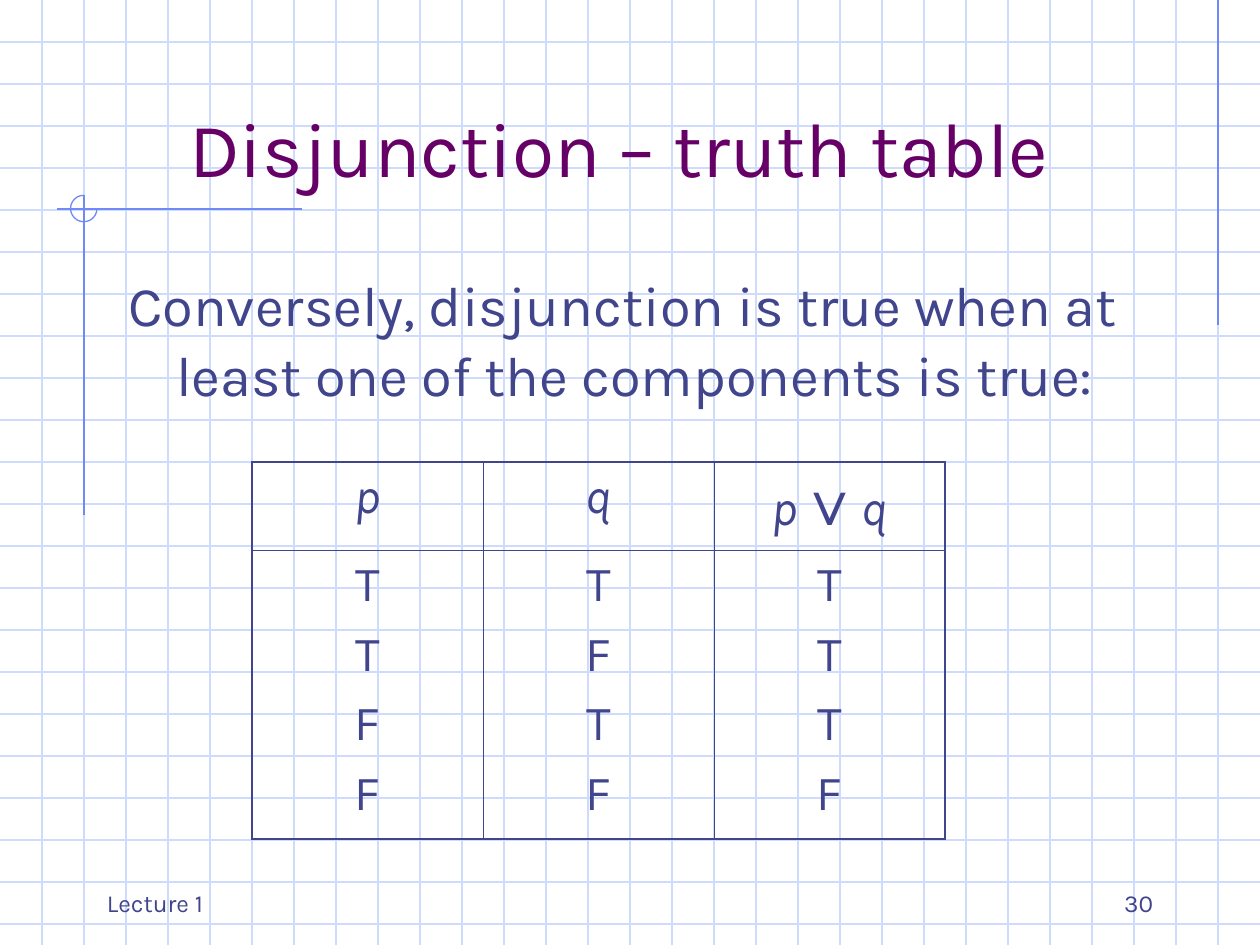
from lxml import etree
from pptx import Presentation
from pptx.dml.color import RGBColor
from pptx.enum.shapes import MSO_CONNECTOR, MSO_SHAPE
from pptx.enum.text import MSO_ANCHOR, PP_ALIGN
from pptx.oxml.ns import qn
from pptx.util import Inches, Pt

STRAIGHT = MSO_CONNECTOR.STRAIGHT
ARC = MSO_SHAPE.ARC
TOP, BOTTOM = MSO_ANCHOR.TOP, MSO_ANCHOR.BOTTOM
LEFT, CENTER, RIGHT = PP_ALIGN.LEFT, PP_ALIGN.CENTER, PP_ALIGN.RIGHT

WIDTH, HEIGHT = 10, 7.5
UNIT = 1 / 3
GRID, ACCENT, TITLE, INK = "CFDBFD", "6F89F7", "660066", "40458C"
FONT, SYMBOL_FONT = "Karla", "Arial"
OUTER, INNER = 1.08, 0.45

HEADERS = [
    [("p", FONT, 28, True)],
    [("q", FONT, 28, True)],
    [("p", FONT, 28, True), ("∨", SYMBOL_FONT, 36, False), ("q", FONT, 28, True)],
]
TRUTH_VALUES = ["TTFF", "TFTF", "TTTF"]


def color(hex_code):
    """Turn a hex string into a colour."""
    return RGBColor.from_string(hex_code)


def add_rule(slide, start, end, hex_code):
    """Draw a thin straight line between two points in inches."""
    rule = slide.shapes.add_connector(STRAIGHT, *map(Inches, start + end))
    rule.line.color.rgb = color(hex_code)
    rule.line.width = Pt(0.75)
    etree.SubElement(rule._element.spPr, qn("a:effectLst"))


def add_run(paragraph, text, font_name, size, hex_code, italic=False):
    """Append one formatted run to a paragraph."""
    run = paragraph.add_run()
    run.text = text
    run.font.name = font_name
    run.font.size = Pt(size)
    run.font.italic = italic
    run.font.color.rgb = color(hex_code)


def add_label(slide, place, text, size, hex_code, align=LEFT, anchor=BOTTOM):
    """Add a wrapped one-paragraph text box and return its paragraph."""
    frame = slide.shapes.add_textbox(*map(Inches, place)).text_frame
    frame.word_wrap = True
    frame.vertical_anchor = anchor
    paragraph = frame.paragraphs[0]
    paragraph.alignment = align
    add_run(paragraph, text, FONT, size, hex_code)
    return paragraph


def draw_graph_paper(slide):
    """Cover the slide with evenly spaced grid lines."""
    for row in range(1, 23):
        add_rule(slide, (0, row * UNIT), (WIDTH, row * UNIT), GRID)
    for column in range(1, 30):
        add_rule(slide, (column * UNIT, 0), (column * UNIT, HEIGHT), GRID)


def draw_accents(slide):
    """Draw the darker margin lines and the open circle at their crossing."""
    add_rule(slide, (29 * UNIT, 0), (29 * UNIT, 2.58), ACCENT)
    add_rule(slide, (2.4, 1.66), (0.45, 1.66), ACCENT)
    add_rule(slide, (2 * UNIT, 1.55), (2 * UNIT, 4.09), ACCENT)
    circle = slide.shapes.add_shape(ARC, *map(Inches, (0.56, 1.55, 0.21, 0.21)))
    circle.adjustments[0] = 0
    circle.adjustments[1] = 162
    circle.shadow.inherit = False
    circle.fill.background()
    circle.line.color.rgb = color(ACCENT)
    circle.line.width = Pt(0.75)


def set_borders(cell, widths):
    """Give a cell its left, right, top and bottom border widths."""
    properties = cell._tc.get_or_add_tcPr()
    for position, (side, width) in enumerate(zip("LRTB", widths)):
        border = etree.Element(qn(f"a:ln{side}"), w=str(Pt(width)))
        fill = etree.SubElement(border, qn("a:solidFill"))
        etree.SubElement(fill, qn("a:srgbClr"), val=INK)
        properties.insert(position, border)


def fill_cell(cell, paragraphs):
    """Write centred paragraphs, each a list of runs, into a clear cell."""
    cell.fill.background()
    frame = cell.text_frame
    for index, runs in enumerate(paragraphs):
        paragraph = frame.add_paragraph() if index else frame.paragraphs[0]
        paragraph.alignment = CENTER
        paragraph.space_before = Pt(7 if index else 0)
        for text, font_name, size, italic in runs:
            add_run(paragraph, text, font_name, size, INK, italic)


def add_truth_table(slide):
    """Add the table with a header row and one tall row of truth values."""
    place = map(Inches, (6 * UNIT, 11 * UNIT, 5.5, 2.99))
    table = slide.shapes.add_table(2, len(HEADERS), *place).table
    for row, height in zip(table.rows, (0.7, 2.29)):
        row.height = Inches(height)
    last = len(HEADERS) - 1
    for column, (header, values) in enumerate(zip(HEADERS, TRUTH_VALUES)):
        value_lines = [[(value, FONT, 28, False)] for value in values]
        left = OUTER if column == 0 else INNER
        right = OUTER if column == last else INNER
        for row, paragraphs in enumerate(([header], value_lines)):
            cell = table.cell(row, column)
            fill_cell(cell, paragraphs)
            vertical = (INNER, OUTER) if row else (OUTER, INNER)
            set_borders(cell, (left, right) + vertical)


def main():
    """Build and save the slide."""
    deck = Presentation()
    deck.slide_width, deck.slide_height = Inches(WIDTH), Inches(HEIGHT)
    slide = deck.slides.add_slide(deck.slide_layouts[6])
    draw_graph_paper(slide)
    draw_accents(slide)
    add_label(slide, (2 * UNIT, UNIT, 8.5, 1.25), "Disjunction – truth table", 44, TITLE, CENTER)
    statement = add_label(
        slide, (0.92, 2.08, 8.5, 4.5),
        "Conversely, disjunction is true when at least one of the components is true:",
        32, INK, anchor=TOP)
    statement.line_spacing = 1.04
    indent = statement._p.get_or_add_pPr()
    indent.set("marL", str(Inches(0.38)))
    indent.set("indent", str(Inches(-0.38)))
    add_truth_table(slide)
    add_label(slide, (7.17, 6.83, 2.08, 0.5), "30", 14, INK, RIGHT)
    add_label(slide, (0.75, 6.83, 2.08, 0.5), "Lecture 1", 14, INK)
    deck.save("out.pptx")


if __name__ == "__main__":
    main()
